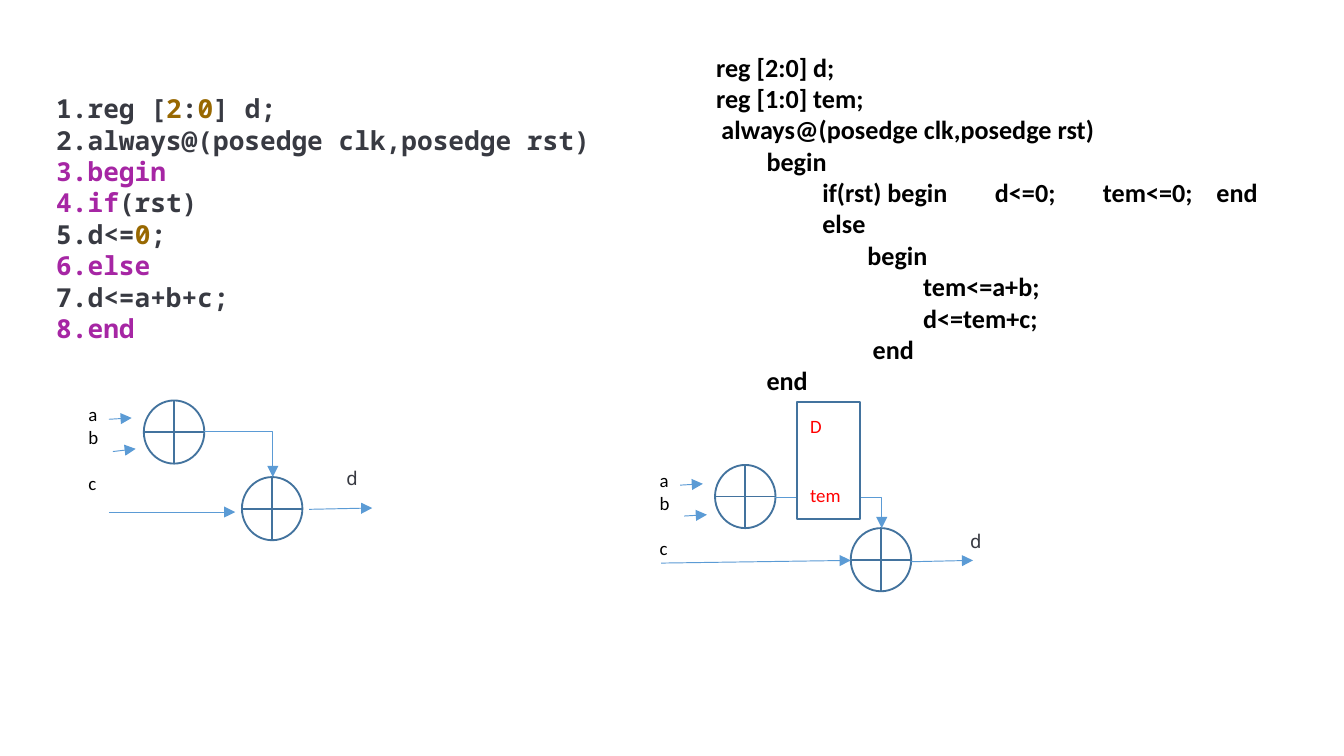
"""Build a slide comparing two Verilog adders and their circuits."""
from lxml import etree
from pptx import Presentation
from pptx.dml.color import RGBColor
from pptx.enum import shapes, text
from pptx.oxml import ns
from pptx.util import Inches, Pt

INK = RGBColor(0x38, 0x3A, 0x42)
NUMBER = RGBColor(0x98, 0x68, 0x01)
KEYWORD = RGBColor(0xA6, 0x26, 0xA4)
BLACK = RGBColor(0x00, 0x00, 0x00)
RED = RGBColor(0xFF, 0x00, 0x00)
WHITE = RGBColor(0xFF, 0xFF, 0xFF)
WIRE = RGBColor(0x5B, 0x9B, 0xD5)
OUTLINE = RGBColor(0x43, 0x73, 0x9E)
MONO, SANS = "Noto Sans Mono", "Calibri"
CODE_PITCH, LABEL_PITCH = 16.8, 12.3
WIDE_GAP, NARROW_GAP = 22.15, 9.5

prs = Presentation()
prs.slide_width, prs.slide_height = Inches(10), Inches(10 * 9 / 16)
s = prs.slides.add_slide(prs.slide_layouts[6])


def write(tf, lines, **fmt):
    for i, runs in enumerate(lines):
        p = tf.paragraphs[0] if i == 0 else tf.add_paragraph()
        p.alignment = text.PP_ALIGN.LEFT
        for words, color in runs:
            r = p.add_run()
            r.text = words
            r.font.color.rgb = color
            for key, value in fmt.items():
                setattr(r.font, key, value)


def wire(start, end, bent=False):
    kind = shapes.MSO_CONNECTOR.ELBOW if bent else shapes.MSO_CONNECTOR.STRAIGHT
    c = s.shapes.add_connector(kind, *map(Inches, start + end))
    c.line.color.rgb, c.line.width = WIRE, Pt(0.5)
    spPr = c._element.spPr
    etree.SubElement(spPr.find(ns.qn("a:ln")), ns.qn("a:tailEnd"), type="triangle")
    etree.SubElement(spPr, ns.qn("a:effectLst"))
    if bent:
        spPr.find(ns.qn("a:prstGeom")).set("prst", "bentConnector2")


single_stage = [
    [("reg [", INK), ("2", NUMBER), (":", INK), ("0", NUMBER), ("] d;", INK)],
    [("always@(posedge clk,posedge rst)", INK)],
    [("begin", KEYWORD)],
    [("if", KEYWORD), ("(rst)", INK)],
    [("d<=", INK), ("0", NUMBER), (";", INK)],
    [("else", KEYWORD)],
    [("d<=a+b+c;", INK)],
    [("end", KEYWORD)],
]
pipelined = [
    (0, 0, ["reg [2:0] d;"]),
    (0, 0, ["reg [1:0] tem;"]),
    (0, 0.04, ["always@(posedge clk,posedge rst)"]),
    (1, 0, ["begin"]),
    (2, 0.04, ["if(rst) begin", " ", "d<=0;", " ", "tem<=0;", " ", "end"]),
    (2, 0.04, ["else"]),
    (3, 0, ["begin"]),
    (4, 0.04, ["tem<=a+b;"]),
    (4, 0.04, ["d<=tem+c;"]),
    (3, 0.04, ["end"]),
    (1, 0, ["end"]),
]
code_boxes = []
for box, lines, font in [
    ((0.32, 0.64, 5, 1.99), single_stage, MONO),
    ((5.23, 0.33, 5, 2.69), [[(w, BLACK) for w in words] for _, _, words in pipelined], SANS),
]:
    tf = s.shapes.add_textbox(*map(Inches, box)).text_frame
    tf.word_wrap, tf.auto_size = True, text.MSO_AUTO_SIZE.SHAPE_TO_FIT_TEXT
    write(tf, lines, name=font, size=Pt(14), bold=True)
    for p in tf.paragraphs:
        p.line_spacing = Pt(CODE_PITCH)
    code_boxes.append(tf)

for p in code_boxes[0].paragraphs:
    pPr = p._p.get_or_add_pPr()
    pPr.set("marL", "0")
    pPr.set("indent", "0")
    etree.SubElement(pPr, ns.qn("a:buAutoNum"), type="arabicPeriod")

for p, (level, nudge, _) in zip(code_boxes[1].paragraphs, pipelined):
    p.level = level
    pPr = p._p.get_or_add_pPr()
    pPr.set("marL", str(Inches(level * 3 / 8 + nudge)))
    pPr.set("indent", "0")
    gaps = [r for r in p.runs if r.text == " "]
    for r, gap in zip(gaps, (WIDE_GAP, WIDE_GAP, NARROW_GAP)):
        r.font._element.set("spc", str(round(gap * 100)))

circuits = [
    dict(
        inputs=(0.56, 2.95), output=(2.48, 3.42),
        adders=[(1.07, 2.98), (1.8, 3.55)],
        wires=[((0.81, 3.12), (0.98, 3.11)), ((0.84, 3.36), (1.01, 3.34)),
               ((0.81, 3.81), (1.75, 3.81)), ((2.3, 3.79), (2.77, 3.78))],
        carry=((1.52, 3.21), (2.03, 3.55)),
    ),
    dict(
        inputs=(4.81, 3.44), output=(7.12, 3.89),
        adders=[(5.32, 3.46), (6.33, 3.93)],
        wires=[((5.06, 3.61), (5.23, 3.6)), ((5.09, 3.84), (5.26, 3.83)),
               ((4.92, 4.19), (6.33, 4.17)), ((6.77, 4.18), (7.24, 4.17))],
        carry=((5.77, 3.7), (6.56, 3.93)),
    ),
]
for circuit in circuits:
    for pos, size, names, color, font in [
        (circuit["inputs"], (0.28, 0.95), "abc", BLACK, SANS),
        (circuit["output"], (0.27, 0.27), "d", INK, MONO),
    ]:
        tf = s.shapes.add_textbox(*map(Inches, pos + size)).text_frame
        tf.word_wrap, tf.auto_size = False, text.MSO_AUTO_SIZE.SHAPE_TO_FIT_TEXT
        write(tf, [[(name, color)] for name in names], name=font, size=Pt(10.1))
        if names == "abc":
            tf.paragraphs[2].space_before = Pt(LABEL_PITCH)
    for pos in circuit["adders"]:
        sp = s.shapes.add_shape(shapes.MSO_SHAPE.FLOWCHART_OR, *map(Inches, pos + (0.45, 0.47)))
        sp.shadow.inherit = False
        sp.fill.background()
        sp.line.color.rgb, sp.line.width = OUTLINE, Pt(1)
    for start, end in circuit["wires"]:
        wire(start, end)
    wire(*circuit["carry"], bent=True)

register = s.shapes.add_shape(
    shapes.MSO_SHAPE.RECTANGLE, Inches(5.93), Inches(2.99), Inches(0.47), Inches(0.87))
register.shadow.inherit = False
register.fill.solid()
register.fill.fore_color.rgb = WHITE
register.line.color.rgb, register.line.width = OUTLINE, Pt(1)
tf = register.text_frame
tf.vertical_anchor = text.MSO_ANCHOR.MIDDLE
write(tf, [[("D", RED)], [("tem", RED)]], name=SANS, size=Pt(10.1))
tf.paragraphs[1].space_before = Pt(2 * LABEL_PITCH)

prs.save("out.pptx")
